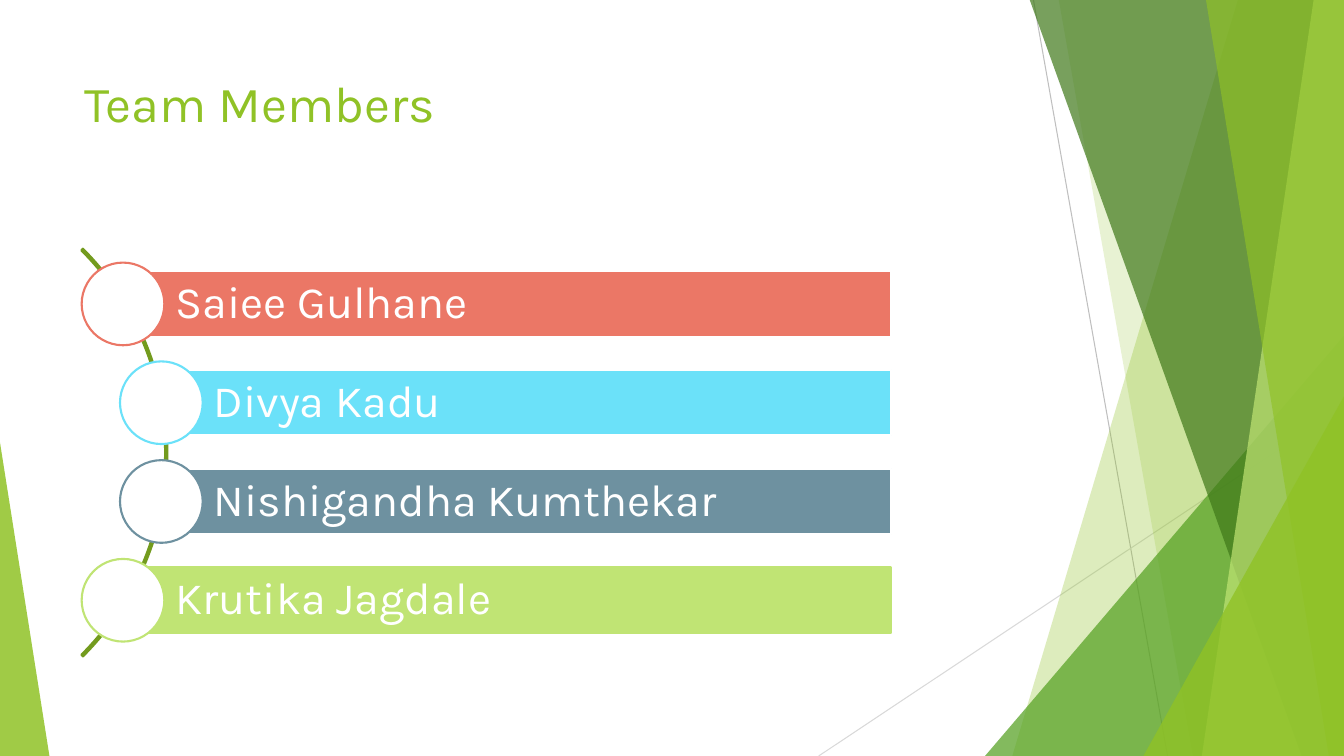
import pptx
import pptx.dml.color
import pptx.enum.shapes
import pptx.enum.text
import pptx.oxml
import pptx.oxml.ns
import pptx.util
from lxml import etree
from pptx.util import Inches

SHAPE = pptx.enum.shapes.MSO_SHAPE
ANCHOR = pptx.enum.text.MSO_ANCHOR
WIDTH, HEIGHT = 13.33, 7.5
BAND_TOP = -0.01
BAR_RIGHT, BAR_HEIGHT = 8.84, 0.65
CIRCLE_SIZE = 0.82
FIRST_BAR_TOP, MEMBER_STEP = 2.69, 0.98

COLORS = {
    "white": "FFFFFF",
    "green": "90C226",
    "leaf": "54A021",
    "forest": "3F7819",
    "lime": "C0E474",
    "arc": "739B1E",
    "coral": "EB7766",
    "sky": "6BE1F9",
    "slate": "6E91A0",
    "gray": "BFBFBF",
    "light_gray": "D9D9D9",
}

MEMBERS = [
    ("Saiee Gulhane", 1.22, "coral", "white"),
    ("Divya Kadu", 1.6, "sky", "white"),
    ("Nishigandha Kumthekar", 1.6, "slate", "white"),
    ("Krutika Jagdale", 1.22, "lime", "lime"),
]


def rgb(name):
    return pptx.dml.color.RGBColor.from_string(COLORS[name])


def style(shape, fill=None, line=None, opacity=100):
    shape.shadow.inherit = False
    if fill:
        shape.fill.solid()
        shape.fill.fore_color.rgb = rgb(fill)
        if opacity < 100:
            color = shape.fill._xPr.find(".//" + pptx.oxml.ns.qn("a:srgbClr"))
            alpha = etree.SubElement(color, pptx.oxml.ns.qn("a:alpha"))
            alpha.set("val", str(opacity * 1000))
    else:
        shape.fill.background()
    if line:
        shape.line.color.rgb = rgb(line)
        shape.line.width = pptx.util.Pt(1.5)
    else:
        shape.line.fill.background()


def add_shape(slide, kind, left, top, width, height, adjustments=(), **look):
    shape = slide.shapes.add_shape(
        kind, Inches(left), Inches(top), Inches(width), Inches(height))
    for index, value in enumerate(adjustments):
        shape.adjustments[index] = value
    style(shape, **look)
    return shape


def add_band(slide, top_left, bottom_left, fill, opacity, top_right=WIDTH):
    builder = slide.shapes.build_freeform(Inches(top_left), Inches(BAND_TOP))
    corners = [(top_right, BAND_TOP), (WIDTH, HEIGHT), (bottom_left, HEIGHT)]
    if top_right != WIDTH:
        corners.insert(1, (WIDTH, BAND_TOP))
    builder.add_line_segments([(Inches(x), Inches(y)) for x, y in corners])
    style(builder.convert_to_shape(), fill=fill, opacity=opacity)


def add_triangle(slide, left, top, width, apex, fill, opacity):
    add_shape(slide, SHAPE.ISOSCELES_TRIANGLE, left, top, width, HEIGHT - top,
              [apex], fill=fill, opacity=opacity)


def add_line(slide, start, end, color):
    line = slide.shapes.add_connector(
        pptx.enum.shapes.MSO_CONNECTOR.STRAIGHT,
        *(Inches(value) for value in start + end))
    line.line.color.rgb = rgb(color)
    line.line.width = pptx.util.Pt(0.75)
    etree.SubElement(line._element.spPr, pptx.oxml.ns.qn("a:effectLst"))


def write_text(shape, text, size, color, anchor=ANCHOR.TOP, left_inset=0.1,
               right_inset=0.1, inset=0.05, line_spacing=None):
    frame = shape.text_frame
    frame.word_wrap = True
    frame.vertical_anchor = anchor
    frame.margin_left = Inches(left_inset)
    frame.margin_right = Inches(right_inset)
    frame.margin_top = frame.margin_bottom = Inches(inset)
    paragraph = frame.paragraphs[0]
    paragraph.alignment = pptx.enum.text.PP_ALIGN.LEFT
    if line_spacing:
        paragraph.line_spacing = line_spacing
    run = paragraph.add_run()
    run.text = text
    run.font.name = "Karla"
    run.font.size = pptx.util.Pt(size)
    run.font.color.rgb = rgb(color)


def add_backdrop(slide):
    add_line(slide, (10.25, 0), (11.58, HEIGHT), "gray")
    add_line(slide, (WIDTH, 4.03), (8.12, HEIGHT), "light_gray")
    add_band(slide, 12.28, 10.04, "green", 30)
    add_band(slide, 10.5, 11.83, "green", 20)
    add_triangle(slide, 9.77, 3.33, 3.56, 1, "leaf", 72)
    add_band(slide, 10.21, 12.91, "forest", 70)
    add_band(slide, 13.03, 11.92, "lime", 70)
    add_band(slide, 11.96, 13.18, "green", 65)
    add_triangle(slide, 11.34, 3.93, 1.99, 1, "green", 80)
    add_triangle(slide, 0, 4.39, 0.49, 0, "green", 85)


def add_title(slide, text):
    title = slide.shapes.add_textbox(
        Inches(0.74), Inches(0.67), Inches(9.4), Inches(1.44))
    write_text(title, text, 36, "green")


def add_member(slide, top, name, left, color, outline):
    bar = add_shape(slide, SHAPE.RECTANGLE, left, top, BAR_RIGHT - left,
                    BAR_HEIGHT, fill=color, line=outline)
    write_text(bar, name, 32, "white", anchor=ANCHOR.MIDDLE, left_inset=0.52,
               right_inset=0.09, inset=0.09, line_spacing=0.9)
    add_shape(slide, SHAPE.OVAL, left - CIRCLE_SIZE / 2,
              top + (BAR_HEIGHT - CIRCLE_SIZE) / 2, CIRCLE_SIZE, CIRCLE_SIZE,
              fill="white", line=color)


def main():
    presentation = pptx.Presentation()
    presentation.slide_width = Inches(WIDTH)
    presentation.slide_height = Inches(HEIGHT)
    slide = presentation.slides.add_slide(presentation.slide_layouts[6])
    add_backdrop(slide)
    add_title(slide, "Team Members")
    add_shape(slide, SHAPE.BLOCK_ARC, -4.06, 1.63, 5.72, 5.72,
              [189, 27, 0.004], line="arc")
    for index, member in enumerate(MEMBERS):
        add_member(slide, FIRST_BAR_TOP + index * MEMBER_STEP, *member)
    presentation.save("out.pptx")


if __name__ == "__main__":
    main()
